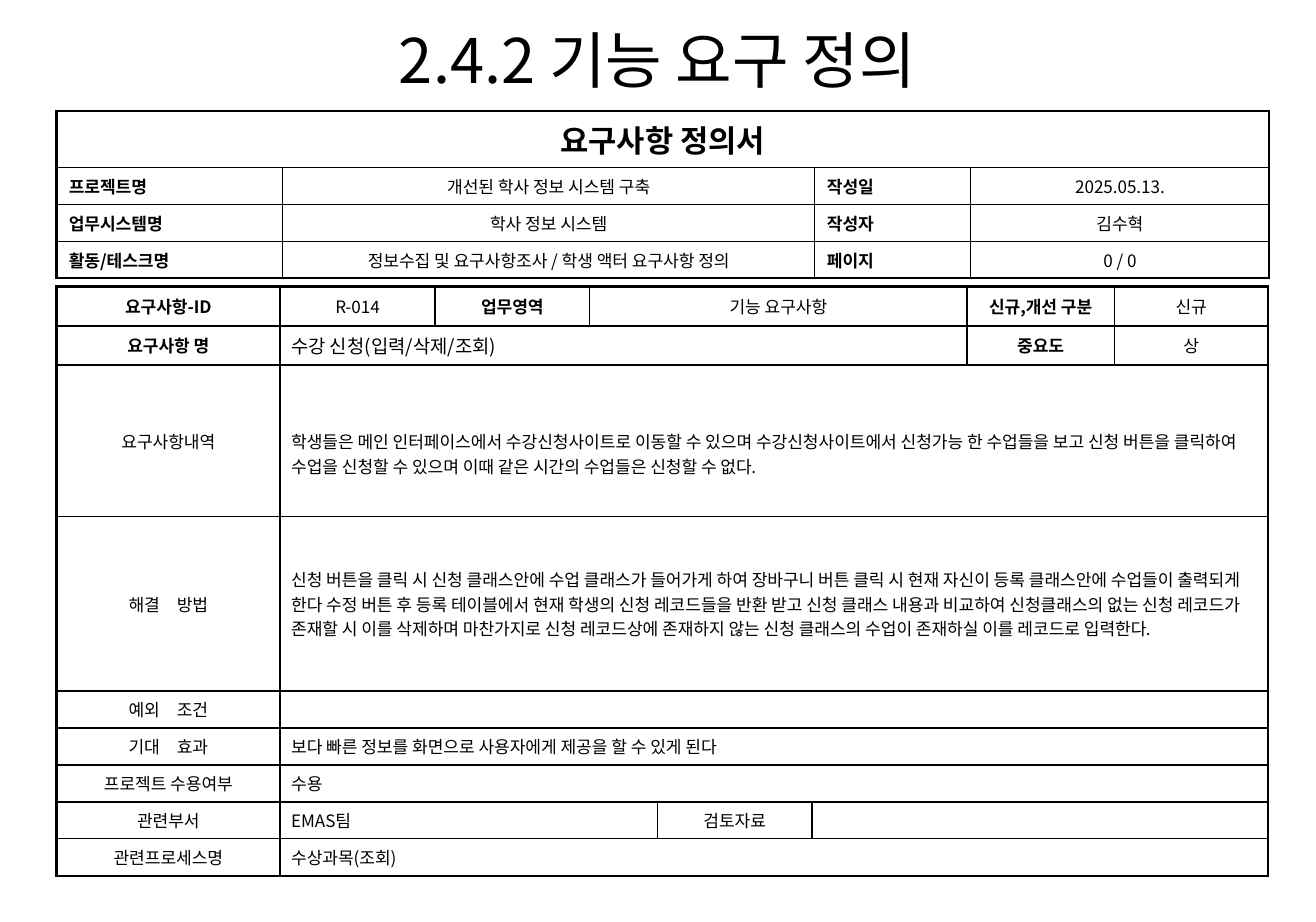
import pptx
import pptx.dml.color
import pptx.enum.text
import pptx.oxml
import pptx.oxml.ns
import pptx.util
from lxml import etree

Inches = pptx.util.Inches
Align = pptx.enum.text.PP_ALIGN
Anchor = pptx.enum.text.MSO_ANCHOR
BLACK = pptx.dml.color.RGBColor(0, 0, 0)
FONT = "Noto Sans CJK KR"
PLAIN = "{2D5ABB26-0587-4C30-8999-92F81FD0307C}"  # table style without grid
THICK, THIN = 1.5, 1


def write(frame, text, size=10, bold=False, align=Align.LEFT, space=1.0):
    para = frame.paragraphs[0]
    para.alignment, para.line_spacing = align, space
    if not text:
        para._p.get_or_add_endParaRPr().set("sz", str(size * 100))
        return
    run = para.add_run()
    run.text = text
    run.font.size, run.font.bold, run.font.name = pptx.util.Pt(size), bold, FONT
    run.font.color.rgb = BLACK
    east = etree.SubElement(run._r.get_or_add_rPr(), pptx.oxml.ns.qn("a:ea"))
    east.set("typeface", FONT)


def edge(cell, **sides):
    """Draw the cell's borders: side letter = width in points."""
    props = cell._tc.get_or_add_tcPr()
    for side, width in sides.items():
        line = etree.SubElement(props, pptx.oxml.ns.qn(f"a:ln{side}"), w=str(pptx.util.Pt(width)))
        fill = etree.SubElement(line, pptx.oxml.ns.qn("a:solidFill"))
        etree.SubElement(fill, pptx.oxml.ns.qn("a:srgbClr"), val=str(BLACK))


deck = pptx.Presentation()
deck.slide_width, deck.slide_height = Inches(10.71), Inches(7.5)
slide = deck.slides.add_slide(deck.slide_layouts[5])

title = slide.shapes.title
title.left, title.top, title.width, title.height = map(Inches, (1.79, 0.07, 7.12, 1.44))
title.text_frame.vertical_anchor = Anchor.TOP
title.text_frame.word_wrap = True
write(title.text_frame, "2.4.2 기능 요구 정의", size=36, align=Align.CENTER, space=1.1)

# Each cell is (text, columns spanned, format)
MID = {"align": Align.CENTER}
BOLD = {"bold": True}
HEAD = {**MID, **BOLD}
LEFT = {}

project = [[("요구사항 정의서", 4, {**HEAD, "size": 18})]]
for label, value, field, entry in [
    ("프로젝트명", "개선된 학사 정보 시스템 구축", "작성일", "2025.05.13."),
    ("업무시스템명", "학사 정보 시스템", "작성자", "김수혁"),
    ("활동/테스크명", "정보수집 및 요구사항조사 / 학생 액터 요구사항 정의", "페이지", "0 / 0"),
]:
    project.append([(label, 1, BOLD), (value, 1, MID), (field, 1, BOLD), (entry, 1, MID)])

needs = [
    [("요구사항-ID", 1, HEAD), ("R-014", 1, MID), ("업무영역", 1, HEAD),
     ("기능 요구사항", 3, MID), ("신규,개선 구분", 1, HEAD), ("신규", 1, MID)],
    [("요구사항 명", 1, HEAD), ("수강 신청(입력/삭제/조회)", 5, {"size": 11}),
     ("중요도", 1, HEAD), ("상", 1, MID)],
]
for label, value in [
    ("요구사항내역", "학생들은 메인 인터페이스에서 수강신청사이트로 이동할 수 있으며 "
     "수강신청사이트에서 신청가능 한 수업들을 보고 신청 버튼을 클릭하여 수업을 신청할 수 있으며 "
     "이때 같은 시간의 수업들은 신청할 수 없다."),
    ("해결　방법", "신청 버튼을 클릭 시 신청 클래스안에 수업 클래스가 들어가게 하여 "
     "장바구니 버튼 클릭 시 현재 자신이 등록 클래스안에 수업들이 출력되게 한다 "
     "수정 버튼 후 등록 테이블에서 현재 학생의 신청 레코드들을 반환 받고 "
     "신청 클래스 내용과 비교하여 신청클래스의 없는 신청 레코드가 존재할 시 이를 삭제하며 "
     "마찬가지로 신청 레코드상에 존재하지 않는 신청 클래스의 수업이 존재하실 이를 레코드로 입력한다."),
    ("예외　조건", ""),
    ("기대　효과", "보다 빠른 정보를 화면으로 사용자에게 제공을 할 수 있게 된다"),
    ("프로젝트 수용여부", "수용"),
    ("관련프로세스명", "수상과목(조회)"),
]:
    needs.append([(label, 1, MID), (value, 7, LEFT)])
needs.insert(-1, [("관련부서", 1, MID), ("EMAS팀", 3, LEFT), ("검토자료", 1, MID), ("", 3, LEFT)])

# top, column widths, row heights, cells, side margin, rows with a thick line above
grids = [
    (0.9, [1.84, 4.33, 1.27, 2.43], [0.43] + [0.26] * 3, project, 0.1, {0, 4}),
    (2.33, [1.82, 1.26, 1.26, 0.55, 1.26, 1.26, 1.2, 1.25],
     [0.32, 0.32, 1.23, 1.42] + [0.25] * 5, needs, 0.09, {0, 1, 2, 9}),
]
for top, widths, heights, rows, pad, heavy in grids:
    frame = slide.shapes.add_table(len(heights), len(widths), Inches(0.46), Inches(top),
                                   Inches(sum(widths)), Inches(sum(heights)))
    table = frame.table
    table.first_row = table.horz_banding = False
    table._tbl.tblPr.find(pptx.oxml.ns.qn("a:tableStyleId")).text = PLAIN
    for column, width in zip(table.columns, widths):
        column.width = Inches(width)
    for line, height in zip(table.rows, heights):
        line.height = Inches(height)
    for row, cells in enumerate(rows):
        start = 0
        for text, span, style in cells:
            cell, end = table.cell(row, start), start + span
            if span > 1:
                cell.merge(table.cell(row, end - 1))
            cell.margin_left = cell.margin_right = Inches(pad)
            cell.margin_top = cell.margin_bottom = Inches(0.05)
            cell.vertical_anchor = Anchor.MIDDLE
            edge(cell,
                 L=THIN if start else THICK,
                 R=THICK if end == len(widths) else THIN,
                 T=THICK if row in heavy else THIN,
                 B=THICK if row + 1 in heavy else THIN)
            cell.fill.background()
            write(cell.text_frame, text, **style)
            start = end

# The request details sit a little below the middle of their cell
table.cell(2, 1).margin_top = Inches(0.26)

deck.save("out.pptx")
